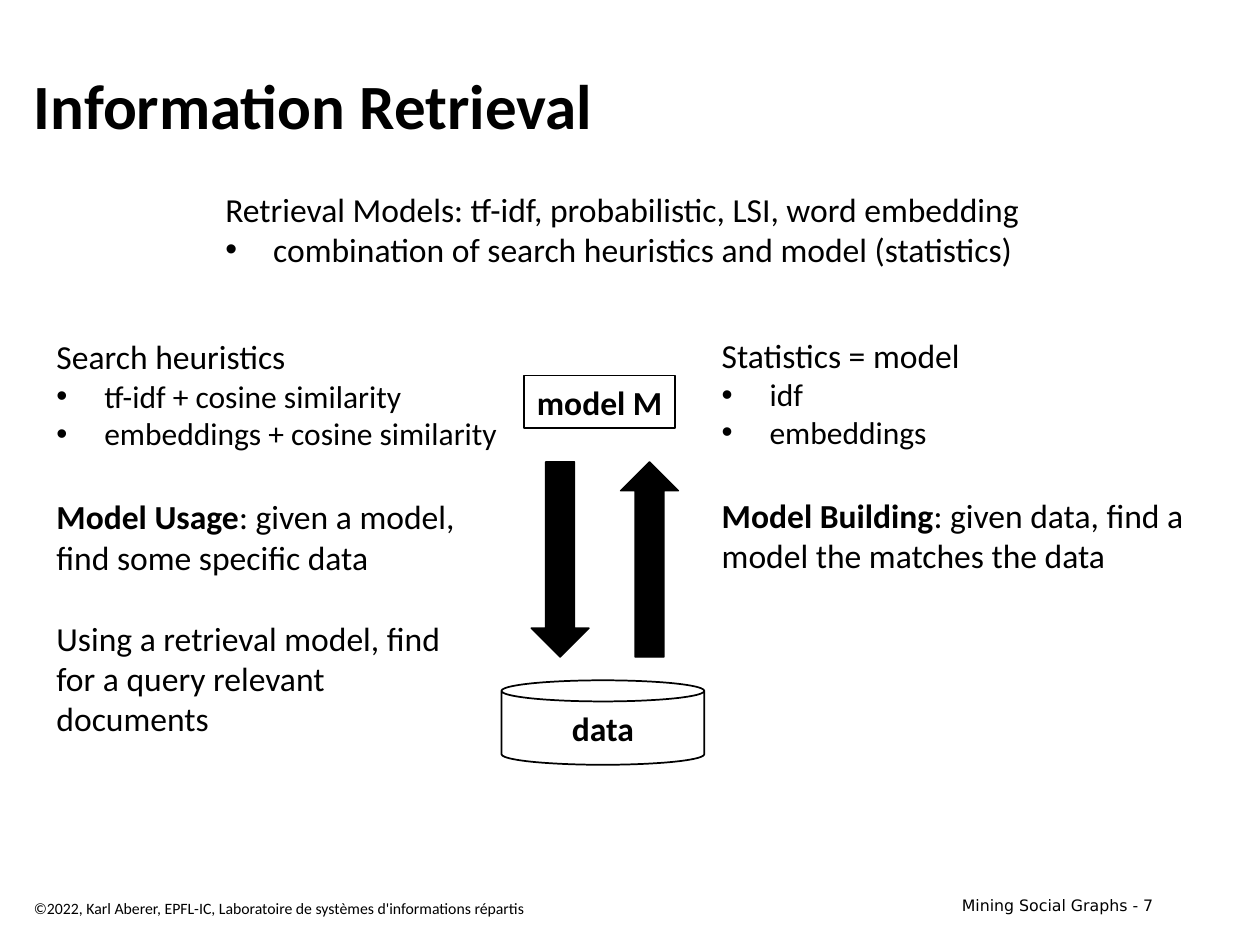
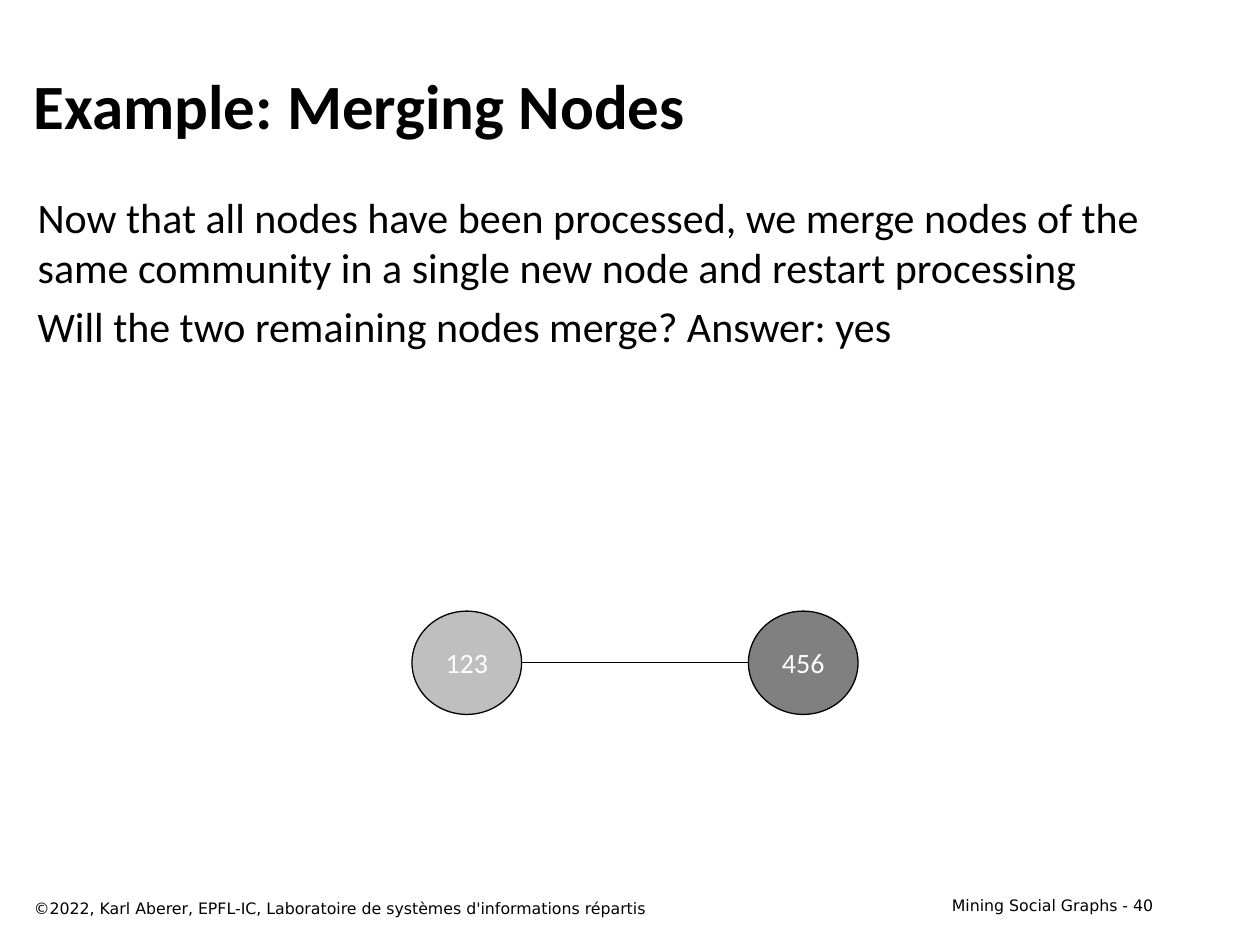
import pptx
import pptx.util
import pptx.dml.color
import pptx.enum.shapes
import pptx.enum.text
import pptx.oxml.ns
from lxml import etree

Inches = pptx.util.Inches
Pt = pptx.util.Pt
RGBColor = pptx.dml.color.RGBColor
Shape = pptx.enum.shapes.MSO_SHAPE
Align = pptx.enum.text.PP_ALIGN
Anchor = pptx.enum.text.MSO_ANCHOR
qn = pptx.oxml.ns.qn

# Shared style
BLACK = RGBColor(0, 0, 0)
WHITE = RGBColor(255, 255, 255)
LIGHT_GREY = RGBColor(0xBF, 0xBF, 0xBF)
DARK_GREY = RGBColor(0x80, 0x80, 0x80)
BODY_FONT = "Calibri"
FOOTER_FONT = "DejaVu Sans"
TEXT_SIZE = 19.2
BULLET_SIZE = 18
COPYRIGHT = "©2022, Karl Aberer, EPFL-IC, Laboratoire de systèmes d'informations répartis"


def style_runs(paragraph, size, font=BODY_FONT, bold=False, color=BLACK):
    for run in paragraph.runs:
        run.font.size = Pt(size)
        run.font.name = font
        run.font.bold = bold
        run.font.color.rgb = color


def add_text(slide, box, lines, size=TEXT_SIZE, font=BODY_FONT, bold=False,
             align=Align.LEFT, anchor=Anchor.TOP, gap=0):
    """Text box with one paragraph per line, gap points apart."""
    frame = slide.shapes.add_textbox(*map(Inches, box)).text_frame
    frame.word_wrap = True
    frame.vertical_anchor = anchor
    for index, line in enumerate(lines):
        paragraph = frame.paragraphs[0] if index == 0 else frame.add_paragraph()
        paragraph.text = line
        paragraph.alignment = align
        if index:
            paragraph.space_before = Pt(gap)
        style_runs(paragraph, size, font, bold)
    return frame


def add_bullet_list(slide, box, heading, items, size=BULLET_SIZE):
    frame = add_text(slide, box, [heading])
    for item in items:
        paragraph = frame.add_paragraph()
        paragraph.text = item
        properties = paragraph._p.get_or_add_pPr()
        properties.set("marL", str(Inches(0.38)))
        properties.set("indent", str(-Inches(0.38)))
        etree.SubElement(properties, qn("a:buFont"), typeface="Arial")
        etree.SubElement(properties, qn("a:buChar"), char="•")
        style_runs(paragraph, size)


def add_definition(slide, box, term, meaning, *more):
    """Bold term with its meaning, then further text one line below."""
    frame = add_text(slide, box, [term, *more], gap=23.4)
    first = frame.paragraphs[0]
    first.add_run().text = meaning
    style_runs(first, TEXT_SIZE)
    first.runs[0].font.bold = True


def add_figure(slide, kind, box, fill=None, line_width=0.75, label="",
               size=TEXT_SIZE, bold=False, color=BLACK, anchor=Anchor.MIDDLE):
    figure = slide.shapes.add_shape(kind, *map(Inches, box))
    figure.shadow.inherit = False
    if fill is None:
        figure.fill.background()
    else:
        figure.fill.solid()
        figure.fill.fore_color.rgb = fill
    figure.line.color.rgb = BLACK
    figure.line.width = Pt(line_width)
    if label:
        frame = figure.text_frame
        frame.text = label
        frame.vertical_anchor = anchor
        frame.paragraphs[0].alignment = Align.CENTER
        style_runs(frame.paragraphs[0], size, bold=bold, color=color)
    return figure


def add_edge(slide, start, end):
    edge = slide.shapes.add_connector(pptx.enum.shapes.MSO_CONNECTOR.STRAIGHT,
                                      *map(Inches, (*start, *end)))
    edge.line.color.rgb = BLACK
    edge.line.width = Pt(0.75)
    etree.SubElement(edge._element.spPr, qn("a:effectLst"))


def add_base_slide(deck, title, number, copyright_font):
    """Blank slide with the shared title and footers."""
    slide = deck.slides.add_slide(deck.slide_layouts[6])
    add_text(slide, (7.17, 7.06, 2.08, 0.25), [f"Mining Social Graphs - {number}"],
             size=9, font=FOOTER_FONT, align=Align.RIGHT)
    add_text(slide, (0.17, 0.33, 9.08, 1), [title], size=36, bold=True,
             anchor=Anchor.MIDDLE)
    add_text(slide, (0.17, 7.08, 6.42, 0.25), [COPYRIGHT], size=9, font=copyright_font)
    return slide


def build_retrieval_slide(deck):
    slide = add_base_slide(deck, "Information Retrieval", 7, BODY_FONT)

    # Model and data with the arrows between them
    model = add_figure(slide, Shape.RECTANGLE, (4.16, 2.98, 1.2, 0.42), line_width=1,
                       label="model M", bold=True, anchor=Anchor.TOP)
    model.text_frame.word_wrap = False
    add_figure(slide, Shape.CAN, (3.98, 5.4, 1.61, 0.67), fill=WHITE, line_width=1,
               label="data", bold=True)
    for left, rotation in ((3.67, 90), (4.38, 270)):
        arrow = add_figure(slide, Shape.RIGHT_ARROW, (left, 4.21, 1.55, 0.46), fill=BLACK)
        arrow.rotation = rotation

    # Explanations above and on both sides
    add_bullet_list(slide, (1.69, 1.45, 7.14, 0.74),
                    "Retrieval Models: tf-idf, probabilistic, LSI, word embedding",
                    ["combination of search heuristics and model (statistics)"],
                    size=TEXT_SIZE)
    add_bullet_list(slide, (0.35, 2.62, 4.17, 1.03), "Search heuristics",
                    ["tf-idf + cosine similarity", "embeddings + cosine similarity"])
    add_bullet_list(slide, (5.63, 2.61, 2.6, 1.03), "Statistics = model",
                    ["idf", "embeddings"])
    add_definition(slide, (0.35, 3.89, 3.46, 2.36), "Model Usage",
                   ": given a model, find some specific data",
                   "Using a retrieval model, find for a query relevant documents")
    add_definition(slide, (5.63, 3.88, 4.17, 1.39), "Model Building",
                   ": given data, find a model the matches the data")


def build_merging_slide(deck):
    slide = add_base_slide(deck, "Example: Merging Nodes", 40, FOOTER_FONT)
    add_text(slide, (0.2, 1.47, 9.08, 2.52),
             ["Now that all nodes have been processed, we merge nodes of the same "
              "community in a single new node and restart processing",
              "Will the two remaining nodes merge? Answer: yes"], size=24, gap=4.8)

    # Two merged communities joined by an edge
    top, width, height = 4.85, 0.87, 0.82
    first_left, second_left = 3.27, 5.94
    for left, label, fill in ((first_left, "123", LIGHT_GREY),
                              (second_left, "456", DARK_GREY)):
        add_figure(slide, Shape.OVAL, (left, top, width, height), fill=fill,
                   label=label, size=16, color=WHITE)
    middle = top + height / 2
    add_edge(slide, (first_left + width, middle), (second_left, middle))


def main():
    deck = pptx.Presentation()
    deck.slide_width = Inches(10)
    deck.slide_height = Inches(7.5)
    build_retrieval_slide(deck)
    build_merging_slide(deck)
    deck.save("out.pptx")


if __name__ == "__main__":
    main()
